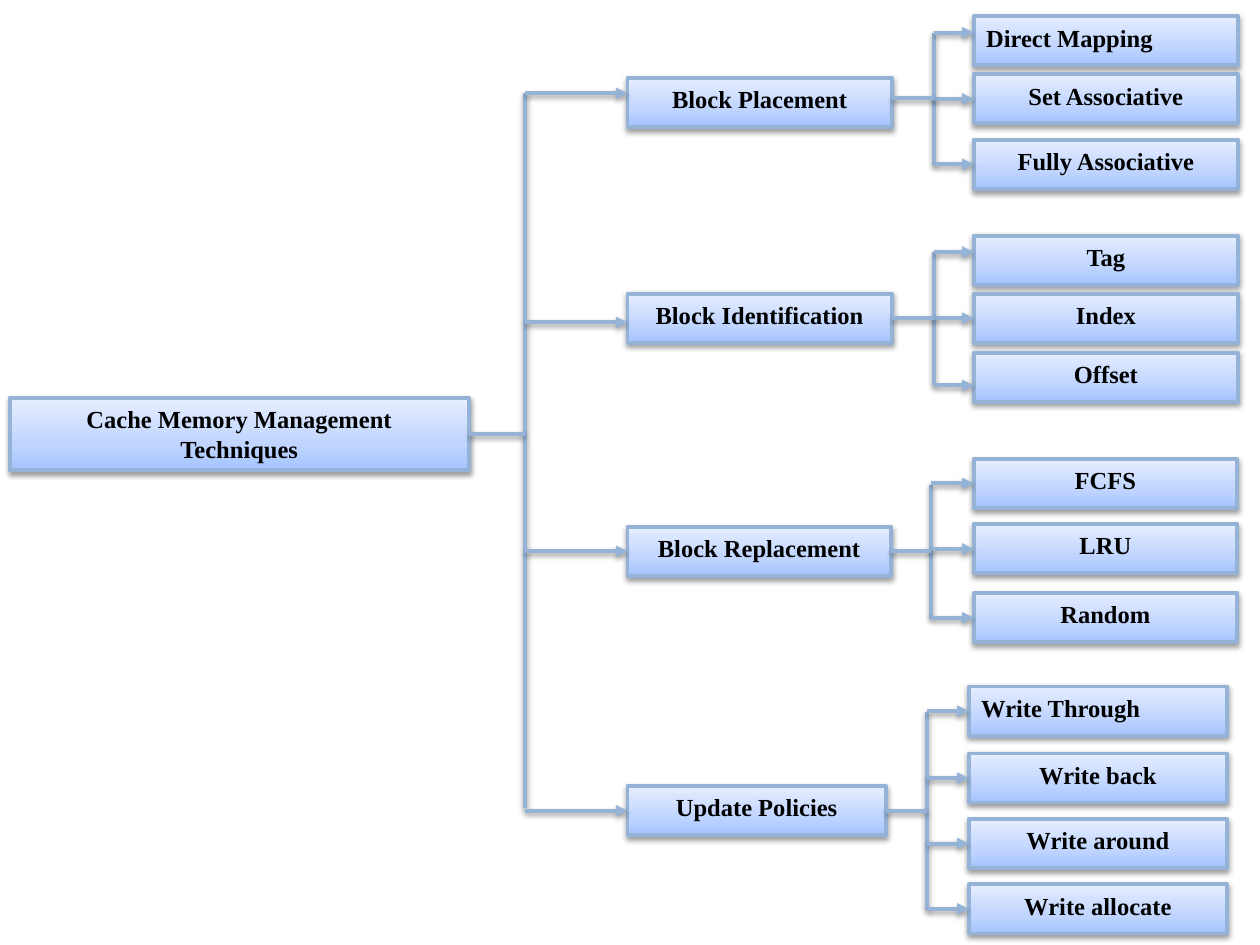
"""Draw the tree of cache memory management techniques."""
from lxml.etree import SubElement as Sub
from pptx import Presentation
from pptx.dml.color import RGBColor
from pptx.enum.shapes import MSO_CONNECTOR as Link, MSO_SHAPE as Kind
from pptx.enum.text import MSO_ANCHOR as Anchor, PP_ALIGN as Align
from pptx.oxml.ns import qn
from pptx.util import Cm, Pt

ROOT = (["Cache Memory Management", "Techniques"], 0.2, 8.03, 9.25, 1.45)
TRUNK = {"x": 10.59, "stem": 8.75, "end": 16.28}
GROUPS = [
    {"name": "Block Placement", "y": 1.57, "wide": 5.33, "in": 1.88,
     "stem": 1.98, "trunk": 18.82, "x": 19.63, "leaves": [
         ("Direct Mapping", 0.33, 0.66), ("Set Associative", 1.5, 1.98),
         ("Fully Associative", 2.82, 3.33)]},
    {"name": "Block Identification", "y": 5.92, "wide": 5.33, "in": 6.5,
     "stem": 6.43, "trunk": 18.82, "x": 19.63, "leaves": [
         ("Tag", 4.75, 5.08), ("Index", 5.92, 6.43), ("Offset", 7.11, 7.77)]},
    {"name": "Block Replacement", "y": 10.62, "wide": 5.31, "in": 11.18,
     "stem": 11.1, "trunk": 18.77, "x": 19.63, "leaves": [
         ("FCFS", 9.25, 9.78), ("LRU", 10.57, 11.1), ("Random", 11.96, 12.47)]},
    {"name": "Update Policies", "y": 15.85, "wide": 5.21, "in": 16.41,
     "stem": 16.31, "trunk": 18.69, "x": 19.53, "leaves": [
         ("Write Through", 13.84, 14.35), ("Write back", 15.19, 15.67),
         ("Write around", 16.51, 17.04), ("Write allocate", 17.83, 18.34)]},
]
LEFT = {"Direct Mapping", "Write Through"}
PARENT, TALL, NEAR = 12.65, 0.99, Cm(0.08)
BLUE, BLACK = "95B3D7", "000000"
STOPS = [(0, "A4C4FF"), (35, "BFD4FF"), (100, "E6EEFF")]


def paint(color, code):
    color.rgb = RGBColor.from_string(code)


def shade(props):
    stops = Sub(Sub(props, qn("a:gradFill"), rotWithShape="1"), qn("a:gsLst"))
    for place, code in STOPS:
        stop = Sub(stops, qn("a:gs"), pos=str(place * 1000))
        Sub(stop, qn("a:srgbClr"), val=code)
    Sub(stops.getparent(), qn("a:lin"), ang="16200000", scaled="0")


def trim(item, props):
    paint(item.line.color, BLUE)
    item.line.width = Pt(2.25)
    glow = Sub(Sub(props, qn("a:effectLst")), qn("a:outerShdw"), blurRad="40000",
               dist="20000", dir="5400000", rotWithShape="0")
    tone = Sub(glow, qn("a:srgbClr"), val=BLACK)
    Sub(tone, qn("a:alpha"), val="38000")


def box(slide, lines, x, y, wide, tall=TALL):
    rect = slide.shapes.add_shape(Kind.RECTANGLE, Cm(x), Cm(y), Cm(wide), Cm(tall))
    props = rect.element.spPr
    shade(props)
    trim(rect, props)
    frame = rect.text_frame
    frame.word_wrap = True
    frame.vertical_anchor = Anchor.TOP
    para = frame.paragraphs[0]
    para.alignment = Align.LEFT if lines[0] in LEFT else Align.CENTER
    for row, words in enumerate(lines):
        if row:
            para.add_line_break()
        run = para.add_run()
        run.text = words
        font = run.font
        font.name, font.size, font.bold = "Times New Roman", Pt(14), True
        paint(font.color, BLACK)
    return rect


def line(slide, x1, y1, x2, y2, arrow=False):
    wire = slide.shapes.add_connector(Link.STRAIGHT, x1, y1, x2, y2)
    trim(wire, wire.element.spPr)
    if arrow:
        Sub(wire.line._get_or_add_ln(), qn("a:tailEnd"), type="triangle")
    return wire


def level(rect, y):
    """Give the height of a line at a box, and whether it meets the middle."""
    mid = rect.top + rect.height // 2
    meets = abs(mid - Cm(y)) < NEAR
    return (mid if meets else Cm(y)), meets


def stem(slide, rect, x, y):
    high, meets = level(rect, y)
    wire = line(slide, rect.left + rect.width, high, Cm(x), high)
    if meets:
        wire.begin_connect(rect, 3)


def arrow(slide, x, y, rect):
    high, meets = level(rect, y)
    wire = line(slide, Cm(x), high, rect.left, high, True)
    if meets:
        wire.end_connect(rect, 1)


def trunk(slide, x, top, end):
    line(slide, Cm(x), Cm(top), Cm(x), Cm(end))


def main():
    deck = Presentation()
    deck.slide_width, deck.slide_height = Cm(25.4), Cm(19.05)
    slide = deck.slides.add_slide(deck.slide_layouts[6])
    heads = []
    for group in GROUPS:
        head = box(slide, [group["name"]], PARENT, group["y"], group["wide"])
        heads.append(head)
        leaves = group["leaves"]
        rects = [box(slide, [name], group["x"], y, group["wide"])
                 for name, y, _ in leaves]
        trunk(slide, group["trunk"], leaves[0][2], leaves[-1][2])
        for rect, (_, _, y) in zip(rects, leaves):
            arrow(slide, group["trunk"], y, rect)
        stem(slide, head, group["trunk"], group["stem"])
    trunk(slide, TRUNK["x"], GROUPS[0]["in"], TRUNK["end"])
    for head, group in zip(heads, GROUPS):
        arrow(slide, TRUNK["x"], group["in"], head)
    stem(slide, box(slide, *ROOT), TRUNK["x"], TRUNK["stem"])
    deck.save("out.pptx")


if __name__ == "__main__":
    main()
